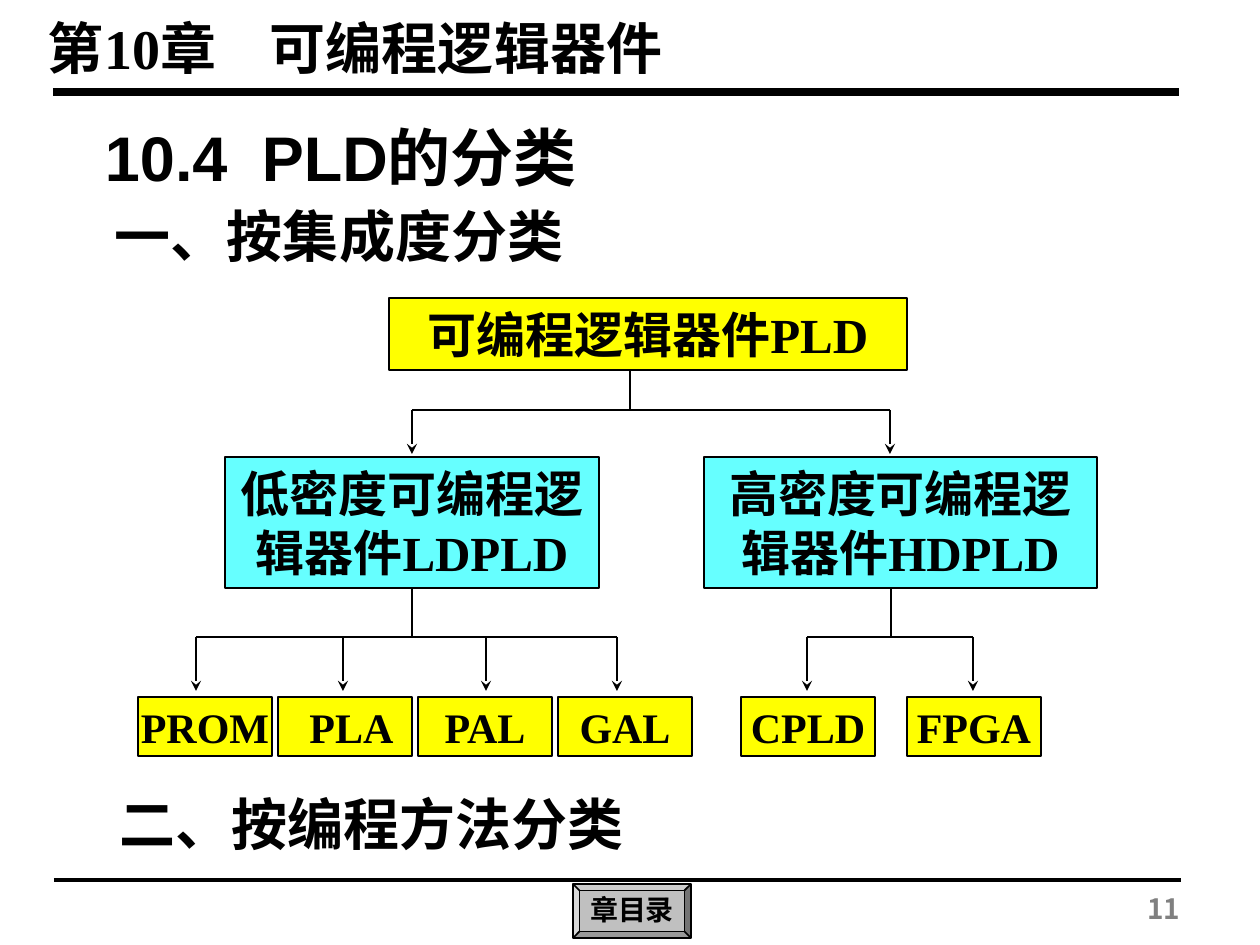
from lxml.etree import SubElement
from pptx import Presentation
from pptx.dml.color import RGBColor
from pptx.enum.shapes import MSO_CONNECTOR, MSO_SHAPE
from pptx.enum.text import MSO_ANCHOR, PP_ALIGN
from pptx.oxml.ns import qn
from pptx.util import Emu, Pt

SCALE = 914400 / 126
BLACK, YELLOW, CYAN = "000000", "FFFF00", "66FFFF"
SERIF, SANS, CHINESE = "Times New Roman", "Arial", "Noto Sans CJK SC"


def px(length):
    return Emu(round(length * SCALE))


def color(value):
    return RGBColor.from_string(value)


def add_run(paragraph, text, size, font, ink=BLACK):
    run = paragraph.add_run()
    run.text = text
    run.font.size = Pt(size)
    run.font.bold = True
    run.font.name = font
    run.font.color.rgb = color(ink)
    SubElement(run.font._element, qn("a:ea"), typeface=CHINESE)


def prepare_text(shape, align, anchor, inset=(13, 6), wrap=True):
    frame = shape.text_frame
    frame.word_wrap = wrap
    frame.vertical_anchor = anchor
    frame.margin_left = frame.margin_right = px(inset[0])
    frame.margin_top = frame.margin_bottom = px(inset[1])
    paragraph = frame.paragraphs[0]
    paragraph.alignment = align
    return paragraph


def add_label(slide, box, runs, font, align=PP_ALIGN.LEFT, tab=None, ink=BLACK):
    label = slide.shapes.add_textbox(*map(px, box))
    paragraph = prepare_text(label, align, MSO_ANCHOR.TOP)
    if tab:
        tabs = SubElement(paragraph._p.get_or_add_pPr(), qn("a:tabLst"))
        SubElement(tabs, qn("a:tab"), pos=str(px(tab)), algn="l")
    for text, size in runs:
        add_run(paragraph, text, size, font, ink)


def add_box(slide, kind, box, fill, text, size, line_width=1.5, inset=(13, 6), wrap=True):
    shape = slide.shapes.add_shape(kind, *map(px, box))
    shape.shadow.inherit = False
    shape.fill.solid()
    shape.fill.fore_color.rgb = color(fill)
    shape.line.color.rgb = color(BLACK)
    shape.line.width = Pt(line_width)
    paragraph = prepare_text(shape, PP_ALIGN.CENTER, MSO_ANCHOR.MIDDLE, inset, wrap)
    add_run(paragraph, text, size, SERIF)
    return shape


def add_line(slide, start, end, width=1.5, arrow=False):
    line = slide.shapes.add_connector(MSO_CONNECTOR.STRAIGHT, *map(px, start + end))
    line.line.color.rgb = color(BLACK)
    line.line.width = Pt(width)
    if arrow:
        SubElement(line.line._get_or_add_ln(), qn("a:tailEnd"), type="stealth")
    SubElement(line._element.spPr, qn("a:effectLst"))
    return line


def add_branches(slide, trunk_x, top, bus, tip, drops):
    add_line(slide, (drops[0], bus), (drops[-1], bus))
    trunk = add_line(slide, (trunk_x, top), (trunk_x, bus))
    for x in drops:
        add_line(slide, (x, bus), (x, tip), arrow=True)
    return trunk


def add_header(slide, left, top):
    add_label(slide, (left, top, 719, 81), [("第10章\t可编程逻辑器件", 32)], SERIF, tab=222)
    add_line(slide, (left + 18, top + 84), (left + 1144, top + 84), 4.5)


def add_footer(slide, left, top):
    add_line(slide, (left, top), (left + 1127, top), 2.25)
    button = add_box(slide, MSO_SHAPE.BEVEL, (left + 519, top + 4, 118, 54),
                     "C0C0C0", "章目录", 16, 1, (5, 5))
    button.adjustments[0] = 0.12
    button.text_frame.paragraphs[0].line_spacing = 0.9
    add_label(slide, (left + 1003, top + 6, 136, 49), [("11", 16)], CHINESE,
              PP_ALIGN.RIGHT, ink="808080")


def add_headings(slide, left, top):
    add_label(slide, (left, top, 605, 88), [("10.4\tPLD的分类", 36)], SANS, tab=157)
    for x, y, width, text in ((10, 68, 607, "一、按集成度分类"),
                              (14, 657, 689, "二、按编程方法分类")):
        add_label(slide, (left + x, top + y, width, 97), [(text, 32), (" ", 40)], CHINESE)


def add_tree(slide, left, top):
    rectangle = MSO_SHAPE.RECTANGLE
    add_box(slide, rectangle, (left + 251, top, 518, 72), YELLOW, "可编程逻辑器件PLD", 28)
    low_density = add_box(slide, rectangle, (left + 87, top + 159, 374, 131), CYAN,
                          "低密度可编程逻辑器件LDPLD", 28)
    add_box(slide, rectangle, (left + 566, top + 159, 393, 131), CYAN,
            "高密度可编程逻辑器件HDPLD", 28)
    leaves = {"PROM": 0, "PLA": 140, "PAL": 280, "GAL": 420, "CPLD": 603, "FPGA": 769}
    for name, x in leaves.items():
        leaf = add_box(slide, rectangle, (left + x, top + 399, 134, 59), YELLOW,
                       name, 24, wrap=False)
        if name == "PLA":
            leaf.text_frame.margin_left = px(26)

    add_branches(slide, left + 492, top + 73, top + 112, top + 156, [left + 274, left + 752])
    leaf_levels = (top + 290, top + 339, top + 393)
    trunk = add_branches(slide, left + 274, *leaf_levels,
                         [left + x for x in (58, 205, 348, 479)])
    trunk.begin_connect(low_density, 2)
    add_branches(slide, left + 753, *leaf_levels, [left + 669, left + 835])


def main():
    presentation = Presentation()
    presentation.slide_width = px(1260)
    presentation.slide_height = px(945)
    slide = presentation.slides.add_slide(presentation.slide_layouts[6])
    add_header(slide, 35, 8)
    add_footer(slide, 54, 880)
    add_headings(slide, 92, 113)
    add_tree(slide, 138, 298)
    presentation.save("out.pptx")


if __name__ == "__main__":
    main()
